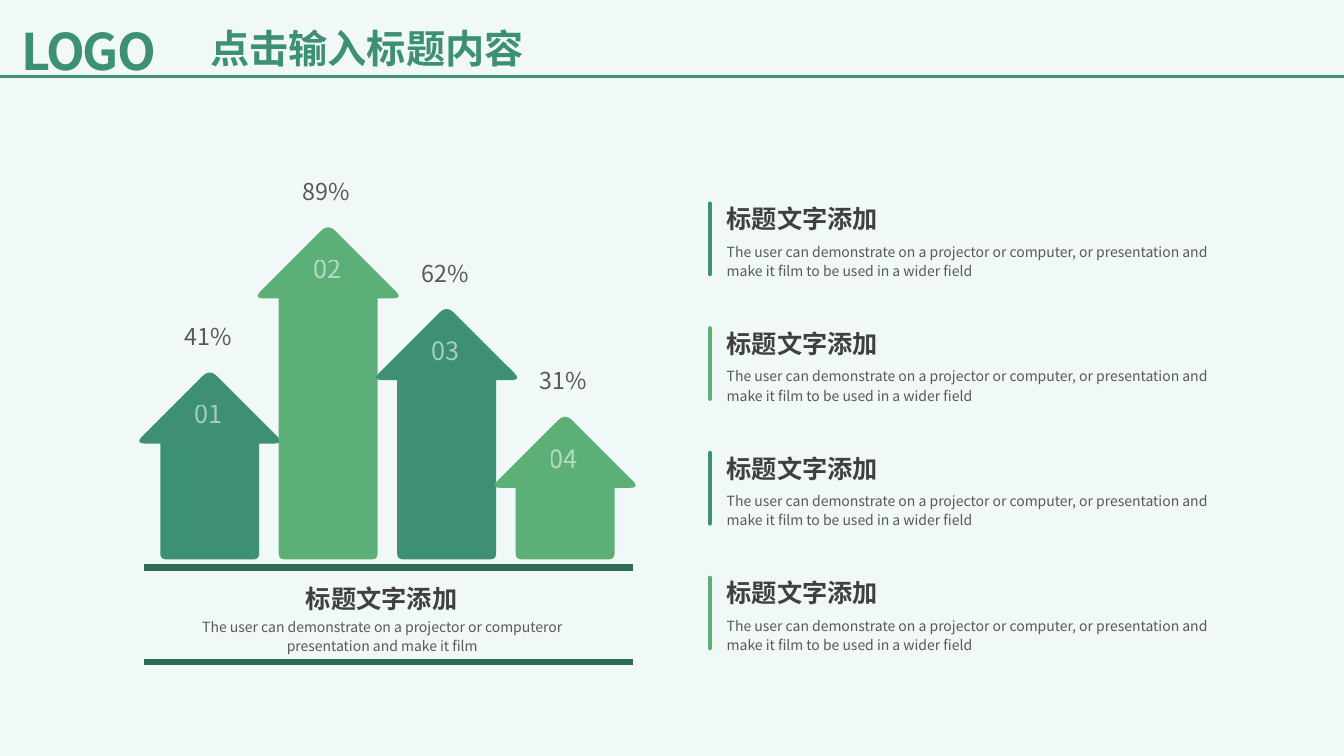
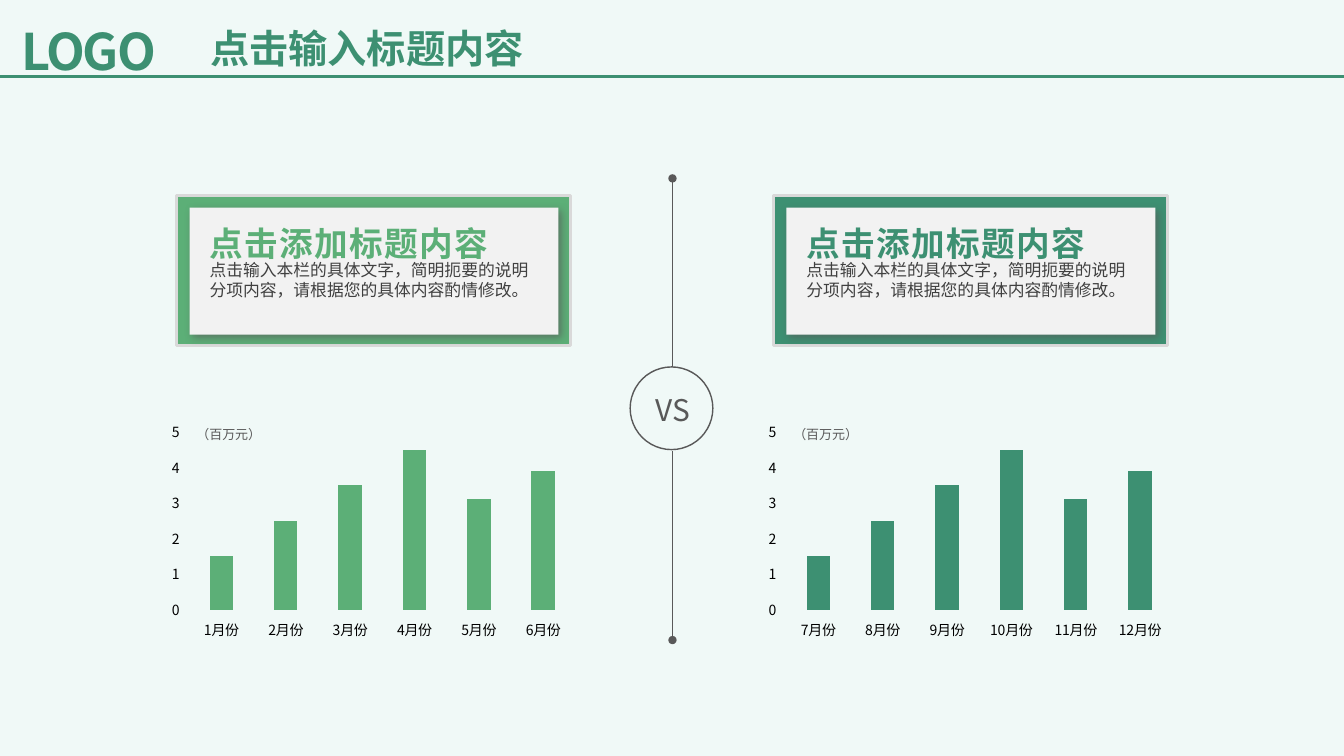
from math import dist

from lxml import etree
from pptx import Presentation
from pptx.chart.data import CategoryChartData
from pptx.dml.color import RGBColor
from pptx.enum.chart import XL_CHART_TYPE
from pptx.enum.shapes import MSO_CONNECTOR, MSO_SHAPE
from pptx.enum.text import PP_ALIGN
from pptx.oxml.ns import qn
from pptx.util import Inches, Pt

LEFT, MID = PP_ALIGN.LEFT, PP_ALIGN.CENTER
RECT, OVAL = MSO_SHAPE.RECTANGLE, MSO_SHAPE.OVAL
STRAIGHT = MSO_CONNECTOR.STRAIGHT
COLUMN = XL_CHART_TYPE.COLUMN_CLUSTERED

FACE = "Noto Sans CJK SC"
BACK = RGBColor(0xF0, 0xF9, 0xF7)
GREEN = RGBColor(0x3D, 0x90, 0x72)
LIGHT = RGBColor(0x5C, 0xAF, 0x77)
DEEP = RGBColor(0x2E, 0x6C, 0x56)
INK = RGBColor(0x40, 0x40, 0x40)
GRAY = RGBColor(0x59, 0x59, 0x59)
RIM = RGBColor(0xD9, 0xD9, 0xD9)
PALE = RGBColor(0xF2, 0xF2, 0xF2)
WHITE = RGBColor(0xFF, 0xFF, 0xFF)
BLACK = RGBColor(0, 0, 0)

HEAD = "标题文字添加"
NOTE = ("The user can demonstrate on a projector or computer, or presentation "
        "and make it film to be used in a wider field")
BASE = "The user can demonstrate on a projector or computeror presentation and make it film"
ARROWS = [("41%", 3.7), ("89%", 2.26), ("62%", 3.07), ("31%", 4.14)]
SALES = [1.5, 2.5, 3.5, 4.5, 3.1, 3.9]


def child(node, tag, **attrs):
    return etree.SubElement(node, qn(tag), attrs)


def toward(start, end, cut):
    share = cut / dist(start, end)
    return tuple(a + (b - a) * share for a, b in zip(start, end))


def rounded(corners):
    points = []
    for i, (x, y, cut) in enumerate(corners):
        here = (x, y)
        if not cut:
            points.append(here)
            continue
        first = toward(here, corners[i - 1][:2], cut)
        last = toward(here, corners[(i + 1) % len(corners)][:2], cut)
        for t in (0, 0.2, 0.4, 0.6, 0.8, 1):
            points.append(tuple((1 - t) ** 2 * a + 2 * t * (1 - t) * b + t * t * c
                                for a, b, c in zip(first, here, last)))
    return points


class Deck:
    def __init__(self):
        self.prs = Presentation()
        self.prs.slide_width = Inches(13.33)
        self.prs.slide_height = Inches(7.5)
        fill = self.prs.slide_master.background.fill
        fill.solid()
        fill.fore_color.rgb = BACK

    def page(self, title):
        slide = self.prs.slides.add_slide(self.prs.slide_layouts[6])
        self.shapes = slide.shapes
        self.text("LOGO", 0.08, 0.13, 1.96, 0.74, 36, GREEN, bold=True,
                  track=-1.5, inset=(0.13, 0.07))
        self.line(0, 0.76, 13.33, 0.76, GREEN, 2)
        self.text(title, 1.84, 0.19, 3.6, 0.57, 28, GREEN, bold=True, align=MID)

    def style(self, font, size, color, bold=False, track=0, alpha=None):
        font.name, font.size, font.bold = FACE, Pt(size), bold
        font.color.rgb = color
        props = font._rPr
        child(props, "a:ea", typeface=FACE)
        if track:
            props.set("spc", str(int(track * 100)))
        if alpha:
            tint = props.find(qn("a:solidFill"))[0]
            child(tint, "a:alpha", val=str(alpha * 1000))

    def text(self, words, x, y, w, h, size, color, align=LEFT, space=None,
             inset=(0.1, 0.05), **looks):
        box = self.shapes.add_textbox(Inches(x), Inches(y), Inches(w), Inches(h))
        frame = box.text_frame
        frame.word_wrap = True
        frame.margin_left = frame.margin_right = Inches(inset[0])
        frame.margin_top = frame.margin_bottom = Inches(inset[1])
        para = frame.paragraphs[0]
        para.text = words
        para.alignment = align
        para.line_spacing = space
        self.style(para.font, size, color, **looks)

    def line(self, x1, y1, x2, y2, color, width, cap="flat", dot=False):
        link = self.shapes.add_connector(
            STRAIGHT, Inches(x1), Inches(y1), Inches(x2), Inches(y2))
        link.line.color.rgb = color
        link.line.width = Pt(width)
        props = link._element.spPr
        stroke = props.find(qn("a:ln"))
        stroke.set("cap", cap)
        if dot:
            child(stroke, "a:tailEnd", type="oval")
        child(props, "a:effectLst")

    def paint(self, shape, fill=None, edge=None, width=1):
        shape.shadow.inherit = False
        if fill is None:
            shape.fill.background()
        else:
            shape.fill.solid()
            shape.fill.fore_color.rgb = fill
        if edge is None:
            shape.line.fill.background()
        else:
            shape.line.color.rgb = edge
            shape.line.width = Pt(width)

    def shape(self, kind, x, y, w, h, **looks):
        shape = self.shapes.add_shape(kind, Inches(x), Inches(y), Inches(w), Inches(h))
        self.paint(shape, **looks)
        return shape

    def shade(self, shape):
        effects = shape._element.spPr.find(qn("a:effectLst"))
        cast = child(effects, "a:outerShdw", blurRad=str(Pt(6)), dist=str(Pt(3)),
                     dir="2700000", algn="tl", rotWithShape="0")
        tint = child(cast, "a:srgbClr", val=str(GRAY))
        child(tint, "a:alpha", val="64000")

    def arrow(self, mid, top, foot, color):
        wide, slim, brim = 0.74, 0.49, top + 0.7
        corners = [(mid, brim - wide, 0.1), (mid + wide, brim, 0.1),
                   (mid + slim, brim, 0), (mid + slim, foot, 0.06),
                   (mid - slim, foot, 0.06), (mid - slim, brim, 0),
                   (mid - wide, brim, 0.1)]
        points = [(Inches(x), Inches(y)) for x, y in rounded(corners)]
        pen = self.shapes.build_freeform(*points[0])
        pen.add_line_segments(points[1:])
        self.paint(pen.convert_to_shape(), color)

    def chart(self, x, y, months, color):
        data = CategoryChartData()
        data.categories = [f"{n}月份" for n in months]
        data.add_series("Series 1", SALES)
        chart = self.shapes.add_chart(
            COLUMN, Inches(x), Inches(y), Inches(4.17), Inches(2.25), data).chart
        chart.has_title = chart.has_legend = False
        self.style(chart.font, 10, BLACK)
        for axis in (chart.category_axis, chart.value_axis):
            axis.has_major_gridlines = False
            axis.format.line.fill.background()
        scale = chart.value_axis
        scale.minimum_scale, scale.maximum_scale, scale.major_unit = 0, 5, 1
        plot = chart.plots[0]
        plot.gap_width, plot.overlap, plot.vary_by_categories = 175, -27, False
        fill = plot.series[0].format.fill
        fill.solid()
        fill.fore_color.rgb = color

    def item(self, y, color):
        self.text(HEAD, 7.11, y, 2.33, 0.4, 18, INK, bold=True)
        self.text(NOTE, 7.11, y + 0.37, 5.14, 0.48, 10, GRAY, space=1.14)
        self.line(7.04, y + 0.05, 7.04, y + 0.75, color, 3, cap="rnd")

    def half(self, x, months, color):
        self.chart(x, 4.14, months, color)
        self.text("（百万元）", x + 0.23, 4.18, 0.97, 0.26, 9.3, GRAY)
        self.shape(RECT, x + 0.13, 1.94, 3.91, 1.49, fill=color, edge=RIM, width=2.5)
        self.shade(self.shape(RECT, x + 0.26, 2.06, 3.66, 1.26, fill=PALE))
        self.text("点击输入本栏的具体文字，简明扼要的说明分项内容，请根据您的具体内容酌情修改。",
                  x + 0.36, 2.53, 3.47, 0.5, 12, INK)
        self.text("点击添加标题内容", x + 0.36, 2.16, 3.27, 0.5, 24, color,
                  bold=True, track=1)


def growth(deck):
    deck.page("点击输入标题内容")
    for i, (share, top) in enumerate(ARROWS):
        mid = 2.08 + 1.175 * i
        color = (GREEN, LIGHT)[i % 2]
        deck.arrow(mid, top, 5.55, color)
        deck.text(share, mid - 0.25, top - 0.47, 0.6, 0.26, 16.6, GRAY,
                  space=0.9, inset=(0, 0))
        deck.text(f"0{i + 1}", mid - 0.15, top + 0.29, 0.4, 0.28, 18, WHITE,
                  space=0.9, inset=(0, 0), alpha=54)
        deck.item(1.97 + 1.237 * i, color)
    for y in (5.63, 6.57):
        deck.line(1.43, y, 6.28, y, DEEP, 4.5)
    deck.text(HEAD, 2.62, 5.74, 2.33, 0.4, 18, INK, align=MID, bold=True)
    deck.text(BASE, 1.78, 6.06, 4.02, 0.48, 10, GRAY, align=MID, space=1.14)


def versus(deck):
    deck.page("点击输入标题内容")
    deck.shape(OVAL, 6.25, 3.64, 0.82, 0.82, edge=GRAY)
    for start, end in ((3.64, 1.77), (4.47, 6.35)):
        deck.line(6.67, start, 6.67, end, GRAY, 1, dot=True)
    deck.text("VS", 6.34, 3.84, 0.66, 0.46, 21.3, GRAY, align=MID)
    deck.half(1.62, range(1, 7), LIGHT)
    deck.half(7.54, range(7, 13), GREEN)


def main():
    deck = Deck()
    growth(deck)
    versus(deck)
    deck.prs.save("out.pptx")


if __name__ == "__main__":
    main()
